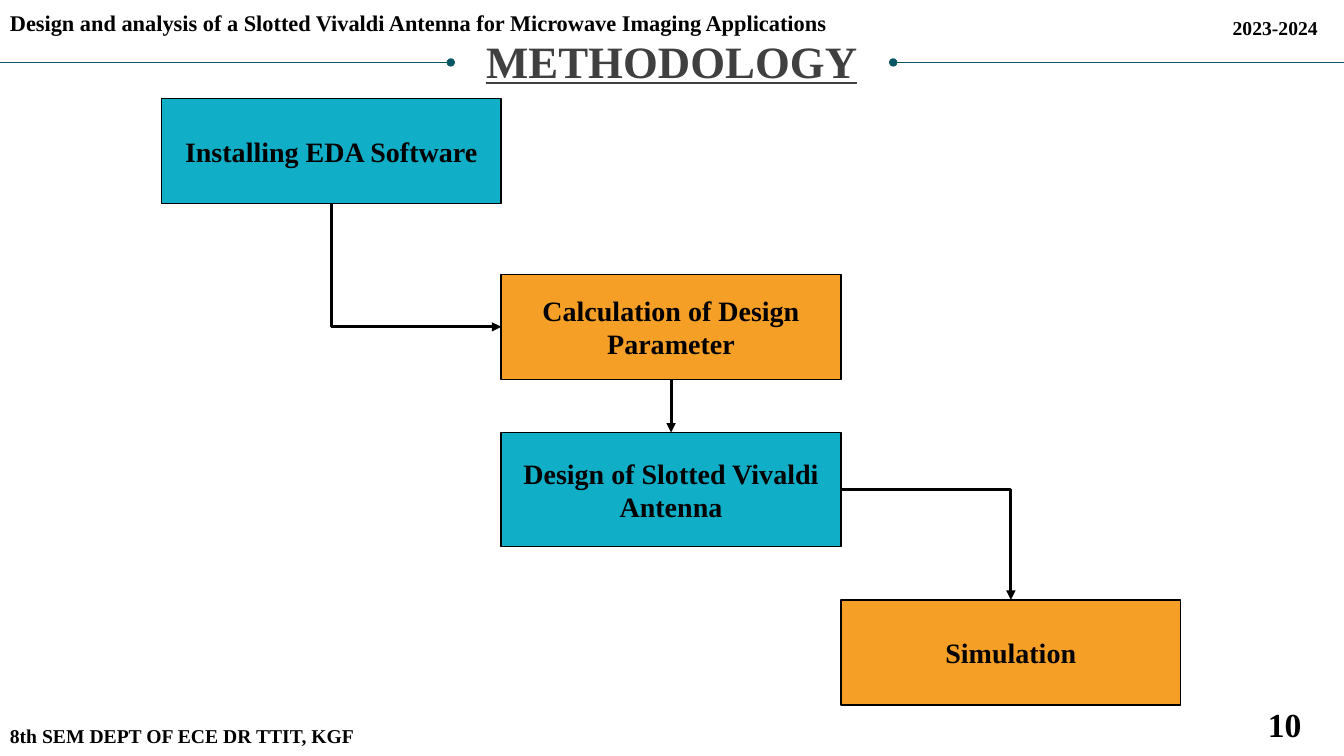
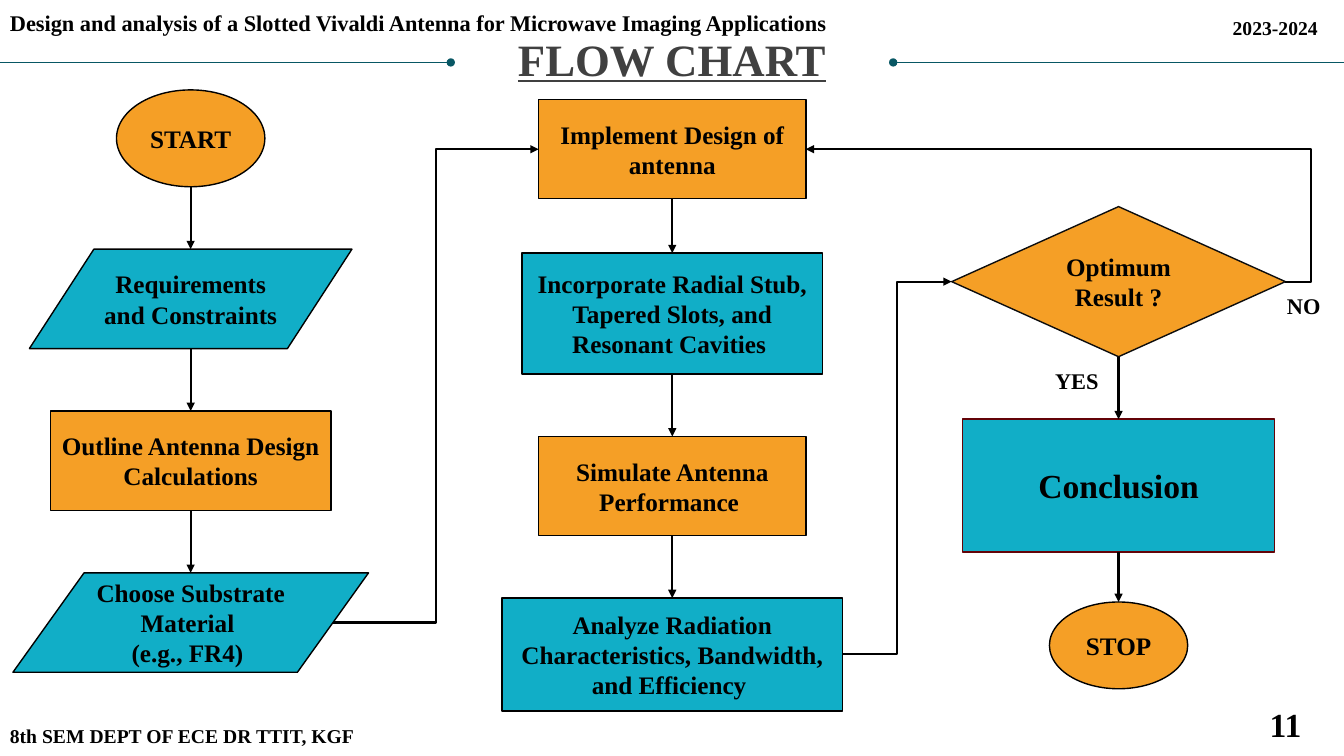
from dataclasses import dataclass

from lxml import etree
from pptx import Presentation
from pptx.dml.color import RGBColor
from pptx.enum import shapes, text
from pptx.oxml.ns import qn
from pptx.util import Pt

KIND = shapes.MSO_SHAPE
LINE = shapes.MSO_CONNECTOR
ANCHOR = text.MSO_ANCHOR
ALIGN = text.PP_ALIGN
TOP, LEFT, BOTTOM, RIGHT = range(4)
FOUR_SITES = (KIND.ROUNDED_RECTANGLE, KIND.FLOWCHART_PROCESS, KIND.FLOWCHART_DECISION)


@dataclass(frozen=True)
class Theme:
    font: str = "Times New Roman"
    teal: str = "11AEC7"
    orange: str = "F59F26"
    ink: str = "000000"
    heading: str = "404040"
    rule: str = "085764"
    soft_ink: str = "0D0D0D"
    maroon: str = "630308"
    title: int = 32
    large: int = 24
    step: int = 20
    node: int = 18
    label: int = 16
    small: int = 14


T = Theme()


@dataclass
class Node:
    text: str
    kind: int
    w: float
    h: float
    fill: str
    gap: float = 44.6
    size: int = T.node
    outline: str = T.ink


def rgb(value):
    return RGBColor.from_string(value)


def write(tf, words, size, color=T.ink, align=ALIGN.LEFT, anchor=ANCHOR.TOP):
    tf.text = words
    tf.word_wrap = True
    tf.vertical_anchor = anchor
    for p in tf.paragraphs:
        p.alignment = align
        for r in p.runs:
            r.font.name = T.font
            r.font.size = Pt(size)
            r.font.bold = True
            r.font.color.rgb = rgb(color)


def add_label(s, box, words, size, **style):
    tb = s.shapes.add_textbox(*map(Pt, box))
    write(tb.text_frame, words, size, **style)
    return tb


def add_node(s, x, y, node):
    sp = s.shapes.add_shape(node.kind, Pt(x), Pt(y), Pt(node.w), Pt(node.h))
    sp.shadow.inherit = False
    sp.fill.solid()
    sp.fill.fore_color.rgb = rgb(node.fill)
    sp.line.color.rgb = rgb(node.outline)
    sp.line.width = Pt(1)
    if node.kind == KIND.ROUNDED_RECTANGLE:
        sp.adjustments[0] = 0
    write(sp.text_frame, node.text, node.size, align=ALIGN.CENTER, anchor=ANCHOR.MIDDLE)
    return sp


def style_line(c, color, width, **ends):
    c.line.color.rgb = rgb(color)
    c.line.width = Pt(width)
    ln = c.line._get_or_add_ln()
    for end, kind in ends.items():
        etree.SubElement(ln, qn(f"a:{end}"), type=kind)
    etree.SubElement(c._element.spPr, qn("a:effectLst"))


def site(sp, side):
    inset = sp.width // 10 if sp.auto_shape_type == KIND.FLOWCHART_DATA else 0
    mid_x, mid_y = sp.left + sp.width // 2, sp.top + sp.height // 2
    return {
        TOP: (mid_x, sp.top),
        LEFT: (sp.left + inset, mid_y),
        BOTTOM: (mid_x, sp.top + sp.height),
        RIGHT: (sp.left + sp.width - inset, mid_y),
    }[side]


def add_arrow(s, start, end, width):
    c = s.shapes.add_connector(LINE.STRAIGHT, *site(start, BOTTOM), *site(end, TOP))
    if start.auto_shape_type in FOUR_SITES:
        c.begin_connect(start, BOTTOM)
    if end.auto_shape_type in FOUR_SITES:
        c.end_connect(end, TOP)
    style_line(c, T.ink, width, tailEnd="triangle")


def add_elbow(s, start, start_side, end, end_side, width, bend=None):
    c = s.shapes.add_connector(LINE.ELBOW, *site(start, start_side), *site(end, end_side))
    if bend is not None:
        guides = c._element.spPr.prstGeom.get_or_add_avLst()
        etree.SubElement(guides, qn("a:gd"), name="adj1", fmla=f"val {bend}")
    style_line(c, T.ink, width, tailEnd="triangle")


def add_corner(s, start, start_side, end, end_side, width):
    (x1, y1), (x2, y2) = site(start, start_side), site(end, end_side)
    down_first = start_side == BOTTOM
    if down_first:
        mid_x, mid_y = (x1 + x2) // 2, (y1 + y2) // 2
        half_w, half_h = (y2 - y1) // 2, (x2 - x1) // 2
        x1, y1, x2, y2 = mid_x + half_w, mid_y - half_h, mid_x - half_w, mid_y + half_h
    c = s.shapes.add_connector(LINE.ELBOW, x1, y1, x2, y2)
    c._element.spPr.prstGeom.set("prst", "bentConnector2")
    if down_first:
        c._element.spPr.xfrm.set("rot", "16200000")
    style_line(c, T.ink, width, tailEnd="triangle")


def add_frame(prs, title, title_top, number):
    s = prs.slides.add_slide(prs.slide_layouts[5])
    heading = s.shapes.title
    heading.left, heading.top, heading.width, heading.height = map(Pt, (18, title_top, 923.8, 34.6))
    tf = heading.text_frame
    tf.margin_left = tf.margin_top = tf.margin_right = tf.margin_bottom = 0
    write(tf, title, T.title, color=T.heading, align=ALIGN.CENTER)
    tf.auto_size = text.MSO_AUTO_SIZE.NONE
    tf.paragraphs[0].line_spacing = 0.9
    tf.paragraphs[0].runs[0].font.underline = True
    for x1, x2, end in ((0, 322, "tailEnd"), (638, 960, "headEnd")):
        c = s.shapes.add_connector(LINE.STRAIGHT, Pt(x1), Pt(44.6), Pt(x2), Pt(44.6))
        style_line(c, T.rule, 0.5, **{end: "oval"})
    topic = add_label(s, (0, 0, 610.6, 28),
                      "Design and analysis of a Slotted Vivaldi Antenna for Microwave Imaging Applications",
                      T.label)
    topic.text_frame.paragraphs[0].line_spacing = 1.15
    topic.text_frame.paragraphs[0].space_after = Pt(10)
    add_label(s, (873.4, 8, 85, 24.5), "2023-2024", T.small)
    add_label(s, (0, 511.2, 525.6, 28.8), "8th SEM DEPT OF ECE DR TTIT, KGF", T.small,
              anchor=ANCHOR.MIDDLE)
    add_label(s, (720.7, 503, 216, 28.8), number, T.large,
              align=ALIGN.RIGHT, anchor=ANCHOR.MIDDLE)
    return s


def add_steps(s, left, top):
    step_w = 242.7
    rows = (
        ("Installing EDA Software", 0, 0, 75, T.teal),
        ("Calculation of Design Parameter", 1, 125.5, 75, T.orange),
        ("Design of Slotted Vivaldi Antenna", 1, 238.5, 81.5, T.teal),
        ("Simulation", 2, 358, 75, T.orange),
    )
    install, calculate, design, simulate = [
        add_node(s, left + col * step_w, top + y,
                 Node(words, KIND.ROUNDED_RECTANGLE, step_w, h, fill, size=T.step))
        for words, col, y, h, fill in rows
    ]
    add_corner(s, install, BOTTOM, calculate, LEFT, 2.25)
    add_arrow(s, calculate, design, 2.25)
    add_corner(s, design, RIGHT, simulate, TOP, 2.25)


def add_column(s, center, top, nodes):
    placed = []
    for node in nodes:
        sp = add_node(s, center - node.w / 2, top, node)
        if placed:
            add_arrow(s, placed[-1], sp, 1.5)
        placed.append(sp)
        top += node.h + node.gap
    return placed


def add_flow(s, left, top):
    box, data = KIND.FLOWCHART_PROCESS, KIND.FLOWCHART_DATA
    prepare = add_column(s, left + 127.5, top, (
        Node("START", KIND.OVAL, 106, 69.2, T.orange),
        Node("Requirements and Constraints", data, 230.4, 71, T.teal),
        Node("Outline Antenna Design\nCalculations", box, 200.4, 71, T.orange),
        Node("Choose Substrate Material \n(e.g., FR4) ", data, 254, 71, T.teal),
    ))
    build = add_column(s, left + 471.5, top + 7, (
        Node("Implement Design of antenna", box, 190.8, 70.8, T.orange, gap=38.8),
        Node("Incorporate Radial Stub, Tapered Slots, and Resonant Cavities ", box,
             214.8, 86.4, T.teal),
        Node("Simulate Antenna Performance ", box, 190.8, 70.8, T.orange),
        Node("Analyze Radiation Characteristics, Bandwidth, and Efficiency ", box,
             243.2, 80.6, T.teal),
    ))
    decide = add_column(s, left + 790.3, top + 83.4, (
        Node("Optimum Result ?", KIND.FLOWCHART_DECISION, 238.4, 107.2, T.orange,
             outline=T.soft_ink),
        Node("Conclusion", box, 222.8, 94.8, T.teal, gap=35.8, size=T.large, outline=T.maroon),
        Node("STOP", KIND.OVAL, 98.8, 62, T.orange),
    ))
    add_elbow(s, prepare[-1], RIGHT, build[0], LEFT, 1.5)
    add_elbow(s, build[-1], RIGHT, decide[0], LEFT, 1.5)
    add_elbow(s, decide[0], RIGHT, build[0], RIGHT, 1.5, bend=-5300)
    add_label(s, (left + 737.9, top + 194.4, 49, 26.6), "YES", T.label)
    add_label(s, (left + 903.5, top + 141, 43.2, 26.6), "NO", T.label)


def main():
    prs = Presentation()
    prs.slide_width, prs.slide_height = Pt(960), Pt(540)
    add_steps(add_frame(prs, "METHODOLOGY", 28.2, "10"), 115.3, 70.5)
    add_flow(add_frame(prs, "FLOW CHART", 26.8, "11"), 8.7, 64.2)
    prs.save("out.pptx")


if __name__ == "__main__":
    main()
